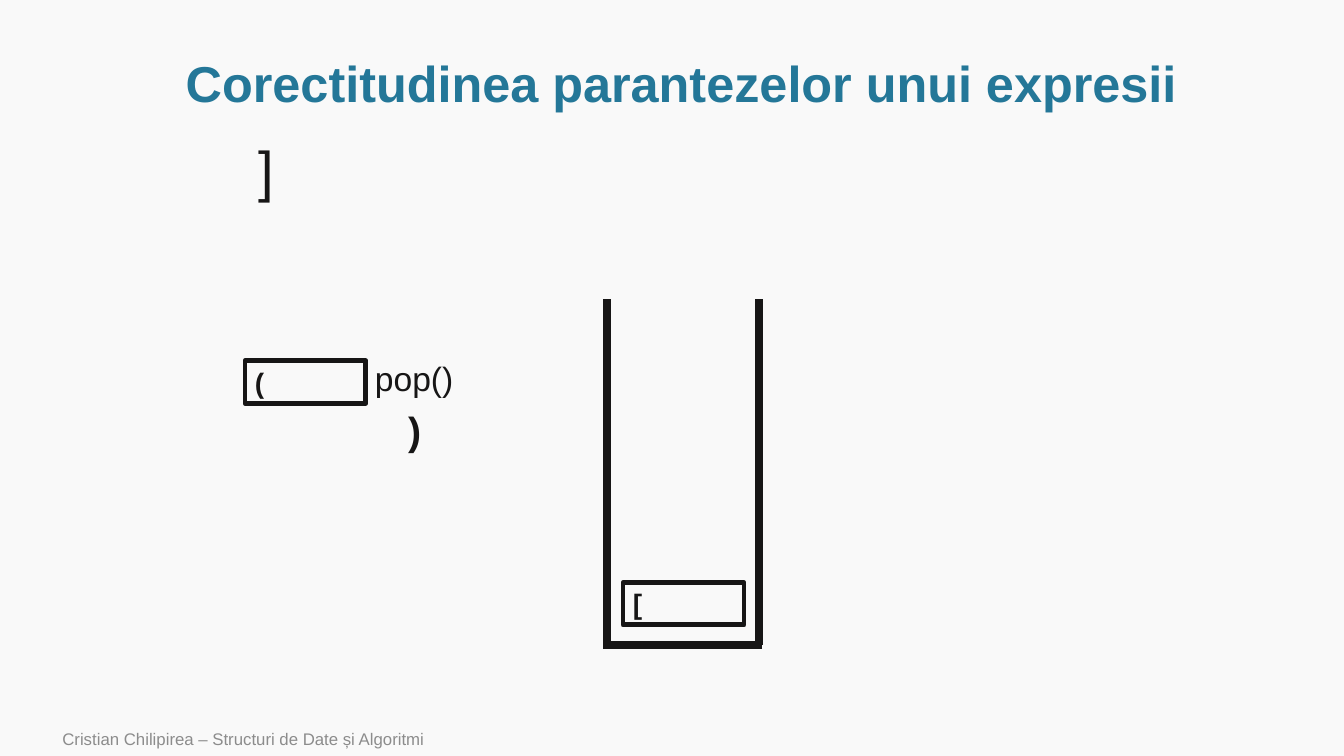
from lxml.etree import SubElement
from pptx import Presentation
from pptx.dml.color import RGBColor
from pptx.enum.shapes import MSO_CONNECTOR, MSO_SHAPE
from pptx.enum.text import MSO_ANCHOR, PP_ALIGN
from pptx.oxml.ns import qn
from pptx.util import Pt

EMU_PER_PX = 9144
INK = "171616"
BACKGROUND = "F9F9F9"
TITLE_BLUE = "247798"
FOOTER_GRAY = "8C8C8C"


def px(length):
    return length * EMU_PER_PX


def color(hex_string):
    return RGBColor.from_string(hex_string)


def write(shape, text, size, hex_string=INK, bold=False, align=PP_ALIGN.LEFT,
          anchor=MSO_ANCHOR.TOP, wrap=False):
    frame = shape.text_frame
    frame.word_wrap = wrap
    frame.vertical_anchor = anchor
    frame.text = text
    paragraph = frame.paragraphs[0]
    paragraph.alignment = align
    font = paragraph.runs[0].font
    font.name = "Arial"
    font.size = Pt(size)
    font.bold = bold
    font.color.rgb = color(hex_string)
    return paragraph


def add_label(slide, box, text, size, **style):
    shape = slide.shapes.add_textbox(*map(px, box))
    return write(shape, text, size, **style)


def add_wall(slide, start, end):
    wall = slide.shapes.add_connector(
        MSO_CONNECTOR.STRAIGHT, *map(px, start + end))
    wall.line.color.rgb = color(INK)
    wall.line.width = Pt(5.5)
    SubElement(wall._element.spPr, qn("a:effectLst"))


def add_element(slide, left, top, text):
    shape = slide.shapes.add_shape(
        MSO_SHAPE.RECTANGLE, px(left), px(top), px(120), px(42))
    shape.shadow.inherit = False
    shape.fill.background()
    shape.line.color.rgb = color(INK)
    shape.line.width = Pt(3.5)
    write(shape, text, 20, bold=True, anchor=MSO_ANCHOR.MIDDLE, wrap=True)


def add_title(slide, box):
    paragraph = add_label(
        slide, box, "Corectitudinea parantezelor unui expresii", 36,
        hex_string=TITLE_BLUE, bold=True, align=PP_ALIGN.CENTER,
        anchor=MSO_ANCHOR.MIDDLE, wrap=True)
    paragraph.line_spacing = 0.9


def add_stack(slide, left, top, width, height):
    right, bottom = left + width, top + height
    add_wall(slide, (left, top), (left, bottom))
    add_wall(slide, (right + 3, bottom), (left - 4, bottom))
    add_wall(slide, (right, top), (right, bottom))
    add_element(slide, left + 16, bottom - 62, "[")


def add_popped_element(slide, left, top):
    add_element(slide, left, top, "(")
    add_label(slide, (left + 119, top - 8, 99, 50), "pop()", 24)
    add_label(slide, (left + 152, top + 40, 33, 57), ")", 28, bold=True)


def add_footer(slide, box):
    add_label(slide, box, "Cristian Chilipirea – Structuri de Date și Algoritmi",
              12, hex_string=FOOTER_GRAY, anchor=MSO_ANCHOR.MIDDLE, wrap=True)


def main():
    presentation = Presentation()
    presentation.slide_width = px(1333)
    presentation.slide_height = px(750)
    slide = presentation.slides.add_slide(presentation.slide_layouts[6])
    slide.background.fill.solid()
    slide.background.fill.fore_color.rgb = color(BACKGROUND)
    add_title(slide, (101, 51, 1150, 69))
    add_stack(slide, 602, 297, 151, 343)
    add_label(slide, (247, 130, 36, 77), "]", 40)
    add_popped_element(slide, 243, 358)
    add_footer(slide, (52, 716, 840, 34))
    presentation.save("out.pptx")


if __name__ == "__main__":
    main()
